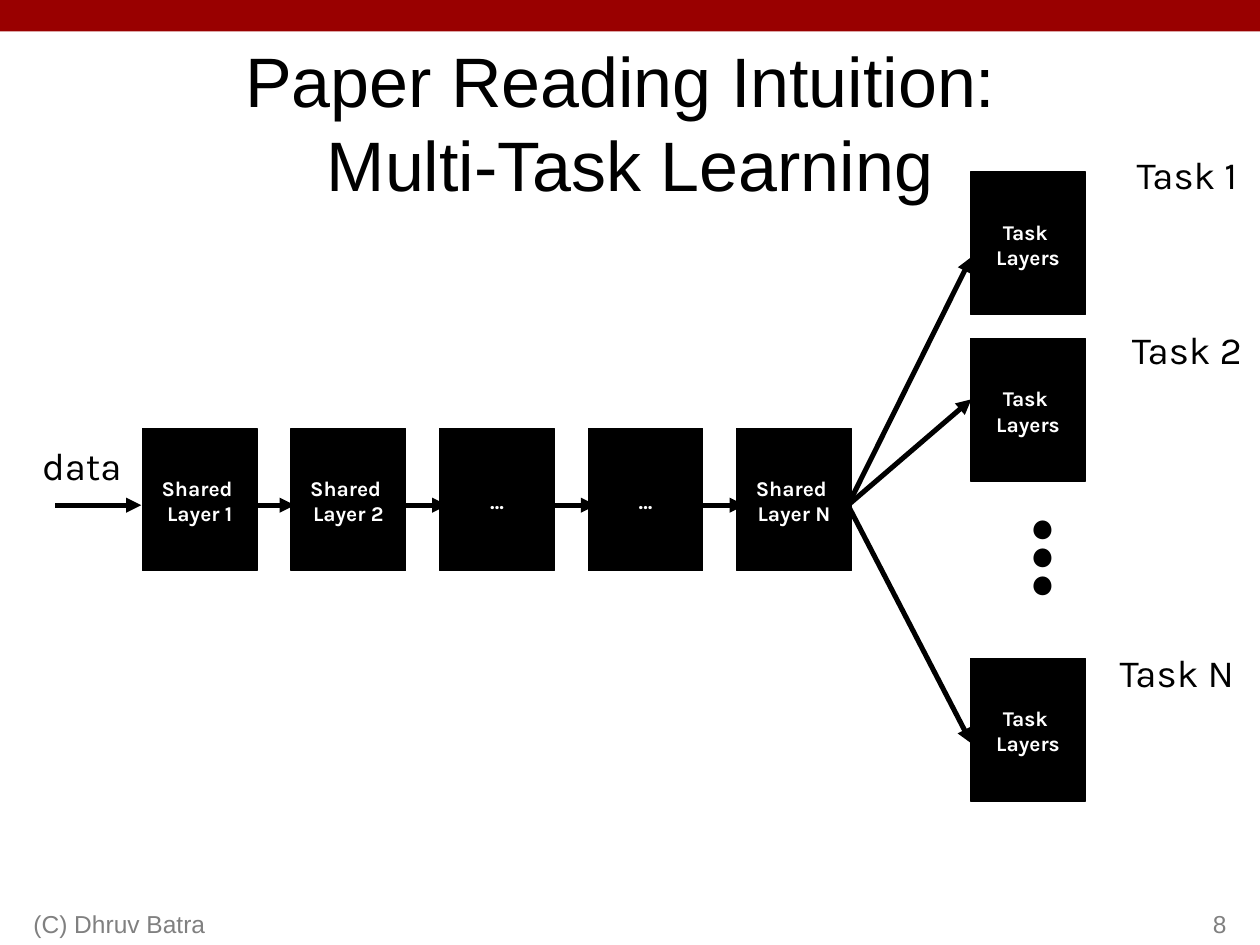
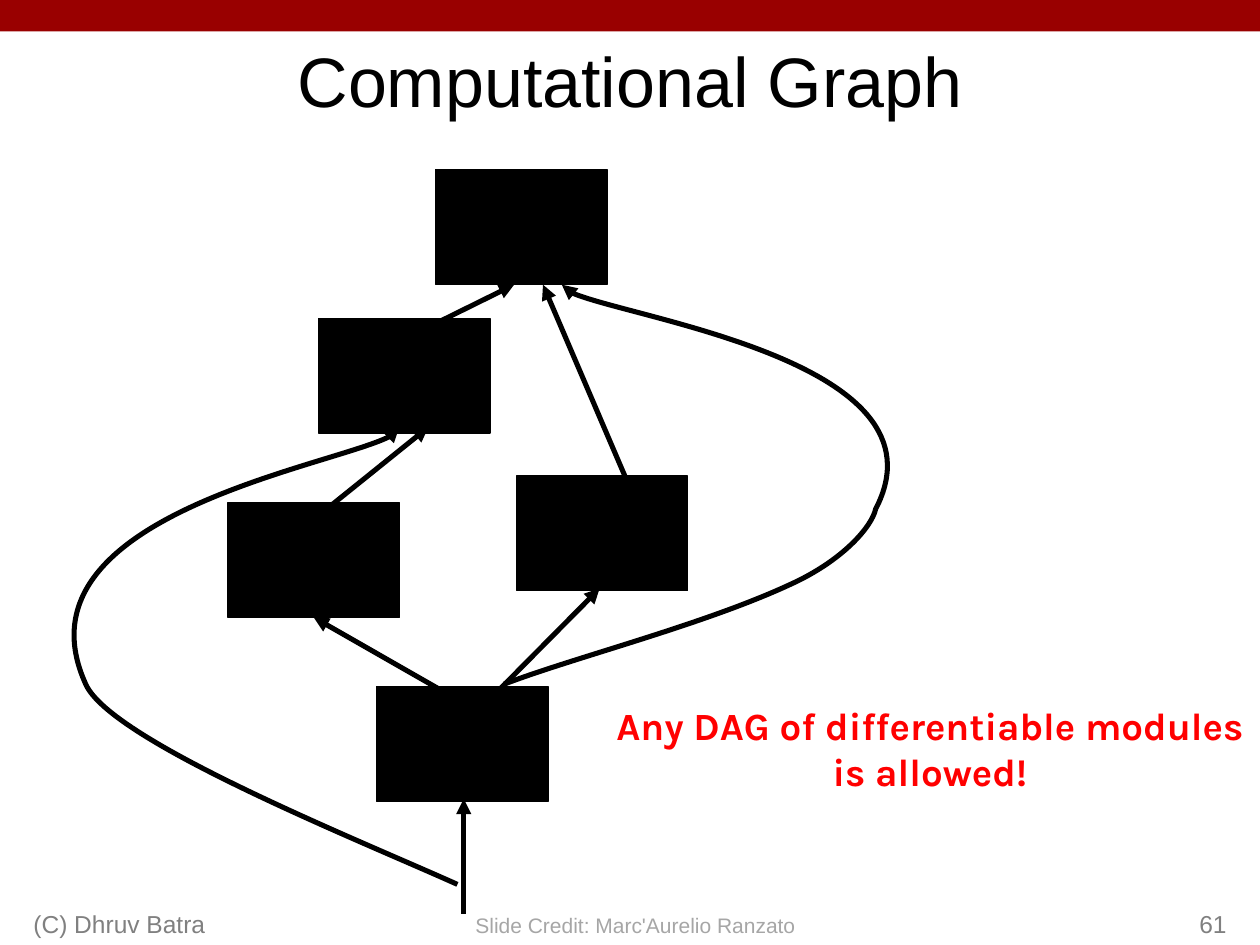
import pptx
import pptx.dml.color
import pptx.enum.shapes
import pptx.enum.text
import pptx.oxml
import pptx.oxml.ns
import pptx.util

Pt = pptx.util.Pt
qn = pptx.oxml.ns.qn
ALIGN = pptx.enum.text.PP_ALIGN
ANCHOR = pptx.enum.text.MSO_ANCHOR
RECTANGLE = pptx.enum.shapes.MSO_SHAPE.RECTANGLE
STRAIGHT = pptx.enum.shapes.MSO_CONNECTOR.STRAIGHT

COLOURS = {
    "band": "990000",
    "ink": "000000",
    "paper": "FFFFFF",
    "footer": "808080",
    "credit": "A6A6A6",
    "alert": "FF0000",
}
HEADING_FONT = "Arial"
DIAGRAM_FONT = "Karla"
ARROW_WIDTH = 2.89
DEFAULT_INSETS = (7.2, 3.6, 7.2, 3.6)
BLOCK_INSETS = (6.5, 4.3, 6.5, 2.9)
LABEL_INSETS = (6.5, 5, 6.5, 2.9)


def colour(name):
    return pptx.dml.color.RGBColor.from_string(COLOURS[name])


def write_text(shape, text, *, size, font=DIAGRAM_FONT, ink="ink", bold=False,
               align=ALIGN.CENTER, anchor=ANCHOR.TOP, insets=DEFAULT_INSETS, wrap=True):
    frame = shape.text_frame
    frame.word_wrap = wrap
    frame.vertical_anchor = anchor
    frame.margin_left, frame.margin_top, frame.margin_right, frame.margin_bottom = map(Pt, insets)
    paragraph = frame.paragraphs[0]
    paragraph.text = text
    paragraph.alignment = align
    for run in paragraph.runs:
        run.font.name = font
        run.font.size = Pt(size)
        run.font.bold = bold
        run.font.color.rgb = colour(ink)


def add_text(slide, text, left, top, width, height, **text_format):
    shape = slide.shapes.add_textbox(Pt(left), Pt(top), Pt(width), Pt(height))
    write_text(shape, text, **text_format)
    return shape


def add_label(slide, text, left, top):
    add_text(slide, text, left, top, 83.5, 31, size=22, insets=LABEL_INSETS)


def add_block(slide, left, top, width, height, fill="ink", outlined=True):
    shape = slide.shapes.add_shape(RECTANGLE, Pt(left), Pt(top), Pt(width), Pt(height))
    shape.shadow.inherit = False
    shape.fill.solid()
    shape.fill.fore_color.rgb = colour(fill)
    if outlined:
        shape.line.color.rgb = colour(fill)
        shape.line.width = Pt(0.75)
    else:
        shape.line.fill.background()
    return shape


def add_layer(slide, text, left, top):
    layer = add_block(slide, left, top, 65.5, 81.4)
    write_text(layer, text, size=12, ink="paper", bold=True,
               anchor=ANCHOR.MIDDLE, insets=BLOCK_INSETS, wrap=False)


def style_arrow(shape):
    shape.line.color.rgb = colour("ink")
    shape.line.width = Pt(ARROW_WIDTH)
    pptx.oxml.ns.qn("a:tailEnd")
    head = shape.line._get_or_add_ln().makeelement(qn("a:tailEnd"), {"type": "triangle"})
    shape.line._get_or_add_ln().append(head)


def add_arrow(slide, start, end):
    arrow = slide.shapes.add_connector(STRAIGHT, *map(Pt, start + end))
    style_arrow(arrow)
    properties = arrow.element.spPr
    properties.append(properties.makeelement(qn("a:effectLst"), {}))


def add_curved_arrow(slide, start, points):
    builder = slide.shapes.build_freeform(Pt(start[0]), Pt(start[1]))
    builder.add_line_segments([(Pt(x), Pt(y)) for x, y in points], close=False)
    curve = builder.convert_to_shape()
    segments = list(curve.element.iter(qn("a:lnTo")))
    for first in range(0, len(segments), 3):
        bezier = segments[first].makeelement(qn("a:cubicBezTo"), {})
        segments[first].addprevious(bezier)
        for segment in segments[first:first + 3]:
            bezier.append(segment[0])
            segment.getparent().remove(segment)
    curve.shadow.inherit = False
    curve.fill.background()
    style_arrow(curve)


def add_slide(presentation, title, number):
    slide = presentation.slides.add_slide(presentation.slide_layouts[6])
    add_block(slide, 0, 0, 720, 18, fill="band", outlined=False)
    add_text(slide, title, 0, 18, 720, 54, size=40, font=HEADING_FONT)
    footer = {"size": 14, "font": HEADING_FONT, "ink": "footer", "anchor": ANCHOR.BOTTOM}
    add_text(slide, "(C) Dhruv Batra", 12, 504, 228, 36, align=ALIGN.LEFT, **footer)
    add_text(slide, number, 558, 504, 150, 36, align=ALIGN.RIGHT, **footer)
    return slide


def build_multi_task(presentation):
    slide = add_slide(presentation, "Paper Reading Intuition: \nMulti-Task Learning", "8")
    for start in (31.7, 119.5, 206.6, 291.6, 376.6):
        add_arrow(slide, (start, 288.7), (start + 49, 288.7))
    shared_layers = ("Shared \nLayer 1", "Shared \nLayer 2", "…", "…", "Shared \nLayer N")
    for index, text in enumerate(shared_layers):
        add_layer(slide, text, 81.4 + 84.9 * index, 244.8)

    tasks = (
        ("Task 1", 98.4, 146.9, 636.5, 81.4),
        ("Task 2", 193.5, 228.2, 636.5, 181.4),
        ("Task N", 376.3, 424.8, 630.7, 365.8),
    )
    for name, layer_top, arrow_end, label_left, label_top in tasks:
        add_layer(slide, "Task \nLayers", 554.7, layer_top)
        add_arrow(slide, (484.6, 288.7), (555.1, arrow_end))
        add_label(slide, name, label_left, label_top)
    add_label(slide, "data", 5, 247.7)
    dots = add_text(slide, "...", 504.7, 265, 97.9, 108, size=91,
                    insets=(6.5, 9.4, 6.5, 2.9))
    dots.rotation = 270


def build_computational_graph(presentation):
    slide = add_slide(presentation, "Computational Graph", "61")
    modules = ((130.3, 287.3), (295.2, 272), (215.3, 392.4), (182.2, 182), (249, 97))
    for left, top in modules:
        add_block(slide, left, top, 97.9, 65.5)

    arrows = (
        ((265, 522), (265, 456.5)),
        ((265, 401.8), (179.3, 352.8)),
        ((359.3, 277.2), (310.3, 162.7)),
        ((228.2, 195.1), (293.8, 162.7)),
        ((261.4, 418.3), (342.7, 336.2)),
        ((163.4, 309.6), (244.8, 244.1)),
    )
    for start, end in arrows:
        add_arrow(slide, start, end)

    add_curved_arrow(slide, (261.4, 505.4), (
        (203.8, 479.5), (63.4, 423.4), (49, 391),
        (5, 294.5), (232.6, 259.2), (228.2, 244.1)))
    add_curved_arrow(slide, (288, 391), (
        (327.6, 375.8), (401.8, 357.1), (451.4, 334.1),
        (481.7, 320.4), (498.2, 301), (500.4, 290.9),
        (544.3, 206.6), (317.5, 175.7), (321.1, 162.7)))

    add_text(slide, "Any DAG of differentiable modules is allowed!", 342.7, 396, 377.3, 62,
             size=22, ink="alert", bold=True, insets=LABEL_INSETS)
    add_text(slide, "Slide Credit: Marc'Aurelio Ranzato", 263.5, 517.7, 199.4, 21.6,
             size=12, font=HEADING_FONT, ink="credit", wrap=False)


def main():
    presentation = pptx.Presentation()
    presentation.slide_width = Pt(720)
    presentation.slide_height = Pt(540)
    build_multi_task(presentation)
    build_computational_graph(presentation)
    presentation.save("out.pptx")


if __name__ == "__main__":
    main()
